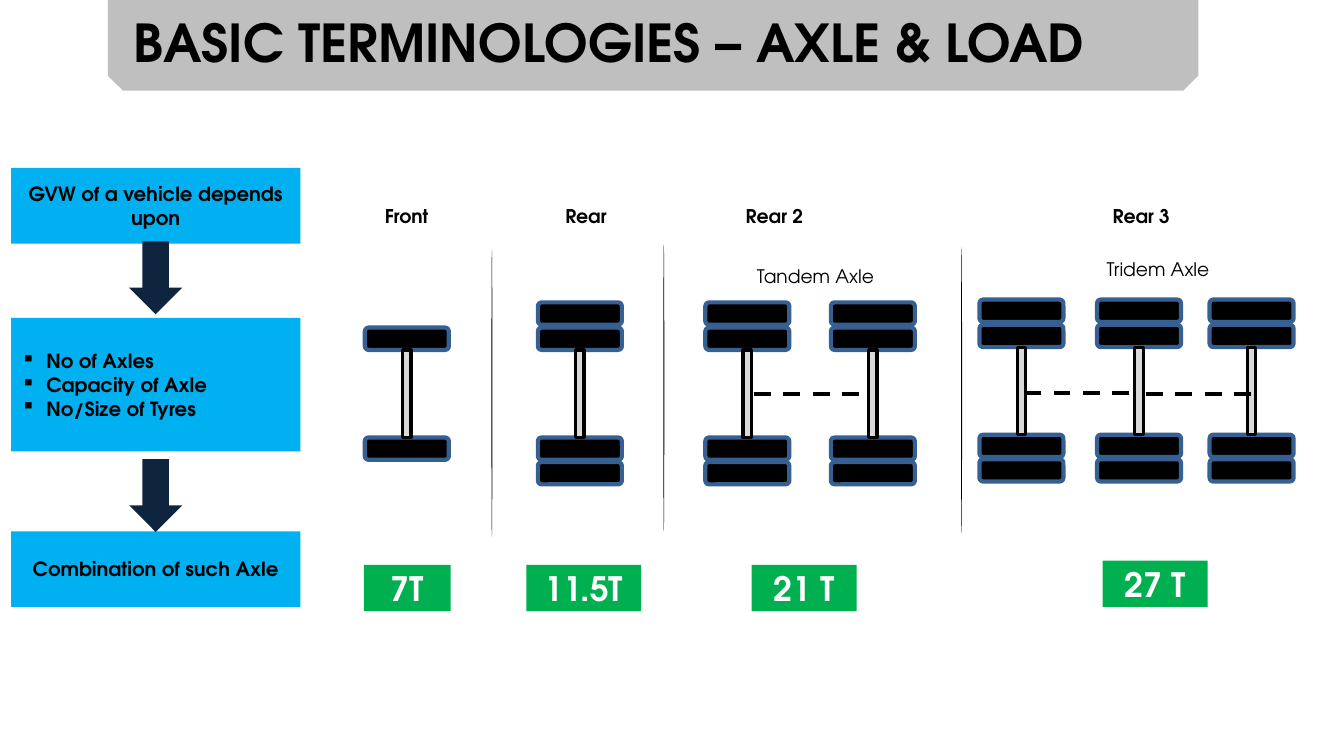
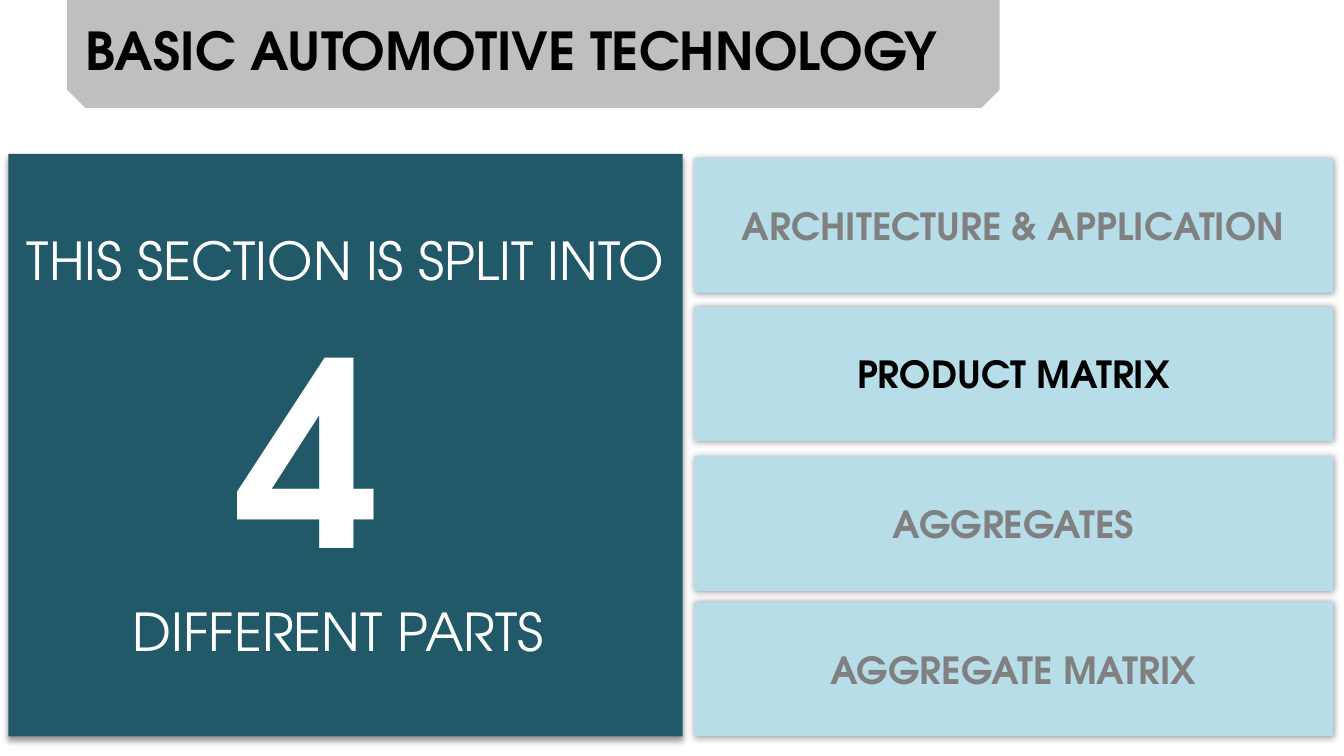
from dataclasses import dataclass
from typing import Optional

import pptx
import pptx.dml.color
import pptx.enum.dml
import pptx.enum.shapes
import pptx.enum.text
import pptx.oxml
import pptx.oxml.ns
import pptx.util
from lxml import etree

Pt = pptx.util.Pt
SHAPE = pptx.enum.shapes.MSO_SHAPE
ALIGN = pptx.enum.text.PP_ALIGN
ANCHOR = pptx.enum.text.MSO_ANCHOR
qn = pptx.oxml.ns.qn

FONT = "TeX Gyre Adventor"
COLORS = {
    "black": "000000", "white": "FFFFFF", "band": "BFBFBF",
    "step": "00B0F0", "arrow": "0F243E", "tyre_edge": "376092",
    "beam": "D9D9D9", "load": "00B050", "panel": "215968",
    "part": "B7DEE8", "muted": "808080",
}


# Records for repeated elements
@dataclass
class Box:
    left: float
    top: float
    width: float
    height: float


@dataclass
class Style:
    size: float
    color: str = "black"
    bold: bool = True


@dataclass
class Shadow:
    blur: float
    distance: float
    degrees: int


@dataclass
class AxleGroup:
    name: str
    name_box: Box
    load: str
    load_box: Box
    top: float
    axles: list[float]
    twin_tyres: bool = True
    note: str = ""
    note_box: Optional[Box] = None


TITLE = Style(37.3)
STEP = Style(14)
AXLE_NAME = Style(13.5)
AXLE_NOTE = Style(13.3, bold=False)
LOAD = Style(24, "white")


# Shared helpers
def rgb(name: str) -> pptx.dml.color.RGBColor:
    return pptx.dml.color.RGBColor.from_string(COLORS[name])


def set_font(font, style: Style) -> None:
    font.name = FONT
    font.size = Pt(style.size)
    font.bold = style.bold
    font.color.rgb = rgb(style.color)


def add_shape(slide, kind, box: Box, fill: str, line: str = "", line_width: float = 0):
    shape = slide.shapes.add_shape(
        kind, Pt(box.left), Pt(box.top), Pt(box.width), Pt(box.height))
    shape.shadow.inherit = False
    shape.fill.solid()
    shape.fill.fore_color.rgb = rgb(fill)
    if line:
        shape.line.color.rgb = rgb(line)
        shape.line.width = Pt(line_width)
    else:
        shape.line.fill.background()
    return shape


def add_label(slide, box: Box, fill: str, text: str, style: Style):
    shape = add_shape(slide, SHAPE.RECTANGLE, box, fill)
    frame = shape.text_frame
    frame.word_wrap = True
    frame.vertical_anchor = ANCHOR.MIDDLE
    paragraph = frame.paragraphs[0]
    paragraph.text = text
    paragraph.alignment = ALIGN.CENTER
    set_font(paragraph.font, style)
    return shape


def add_text(slide, box: Box, text: str, style: Style, wrap: bool = False) -> None:
    shape = slide.shapes.add_textbox(
        Pt(box.left), Pt(box.top), Pt(box.width), Pt(box.height))
    shape.text_frame.word_wrap = wrap
    shape.text_frame.auto_size = pptx.enum.text.MSO_AUTO_SIZE.SHAPE_TO_FIT_TEXT
    paragraph = shape.text_frame.paragraphs[0]
    paragraph.text = text
    set_font(paragraph.font, style)


def add_title(slide, text: str, band: Box, text_box: Box, wrap: bool) -> None:
    shape = add_shape(slide, SHAPE.SNIP_2_SAME_RECTANGLE, band, "band")
    shape.rotation = 180
    add_text(slide, text_box, text, TITLE, wrap)


def add_shadow(shape, shadow: Shadow) -> None:
    effects = shape._element.spPr.find(qn("a:effectLst"))
    outer = etree.SubElement(
        effects, qn("a:outerShdw"), blurRad=str(Pt(shadow.blur)),
        dist=str(Pt(shadow.distance)), dir=str(shadow.degrees * 60000),
        algn="ctr", rotWithShape="0")
    color = etree.SubElement(outer, qn("a:srgbClr"), val=COLORS["black"])
    etree.SubElement(color, qn("a:alpha"), val="40000")


def add_bullet(paragraph) -> None:
    properties = paragraph._p.get_or_add_pPr()
    properties.set("marL", str(Pt(18)))
    properties.set("indent", str(-Pt(18)))
    etree.SubElement(properties, qn("a:buChar"), char="▪")


# Axle drawing
def add_axle(slide, left: float, top: float, twin_tyres: bool) -> None:
    offsets = [18, 96.5] + ([0, 114] if twin_tyres else [])
    for offset in offsets:
        add_shape(slide, SHAPE.ROUNDED_RECTANGLE, Box(left, top + offset, 60, 16),
                  "black", "tyre_edge", 3)
    add_shape(slide, SHAPE.RECTANGLE, Box(left + 27, top + 34, 6, 62.5),
              "beam", "black", 2.25)


def add_dashed_link(slide, start: float, end: float, y: float) -> None:
    connector = slide.shapes.add_connector(
        pptx.enum.shapes.MSO_CONNECTOR.STRAIGHT, Pt(start), Pt(y), Pt(end), Pt(y))
    connector.line.color.rgb = rgb("black")
    connector.line.width = Pt(3)
    connector.line.dash_style = pptx.enum.dml.MSO_LINE.DASH
    etree.SubElement(connector._element.spPr, qn("a:effectLst"))


def add_axle_group(slide, group: AxleGroup) -> None:
    for left in group.axles:
        add_axle(slide, left, group.top, group.twin_tyres)
    add_text(slide, group.name_box, group.name, AXLE_NAME)
    if group.note_box:
        add_text(slide, group.note_box, group.note, AXLE_NOTE)
    add_label(slide, group.load_box, "load", group.load, LOAD)


AXLE_GROUPS = [
    AxleGroup("Front", Box(267.8, 142.5, 47, 24), "7T",
              Box(260, 403.5, 62, 33), 216, [260.6], twin_tyres=False),
    AxleGroup("Rear", Box(396.7, 142.5, 45, 24), "11.5T",
              Box(376, 403.5, 82, 33), 216, [384.2]),
    AxleGroup("Rear 2", Box(525.6, 142.5, 56, 24), "21 T",
              Box(537, 403.5, 75, 33), 216, [503.8, 593.5],
              note="Tandem Axle", note_box=Box(533.5, 186, 100, 24)),
    AxleGroup("Rear 3", Box(787.7, 142.5, 56, 24), "27 T",
              Box(787.7, 400.5, 75, 33), 214, [699.6, 783.6, 864],
              note="Tridem Axle", note_box=Box(783.4, 180.5, 89, 24)),
]


def build_axle_slide(slide) -> None:
    # Step column with arrows
    add_label(slide, Box(8, 120, 206.5, 54), "step",
              "GVW of a vehicle depends upon", STEP)
    factors = add_label(slide, Box(8, 227, 206.5, 95.5), "step",
                        "No of Axles", STEP).text_frame
    for text in ("Capacity of Axle", "No/Size of Tyres"):
        factors.add_paragraph().text = text
    for paragraph in factors.paragraphs:
        paragraph.alignment = ALIGN.LEFT
        add_bullet(paragraph)
        set_font(paragraph.font, STEP)
    add_label(slide, Box(8, 379.5, 206.5, 54), "step", "Combination of such Axle", STEP)
    for top in (172.5, 328):
        add_shape(slide, SHAPE.DOWN_ARROW, Box(92.2, top, 38, 52), "arrow")

    # Axle groups, dividers and links
    for group in AXLE_GROUPS:
        add_axle_group(slide, group)
    for left, top in ((351, 178.5), (473.8, 174.5), (686.5, 176.5)):
        add_shape(slide, SHAPE.OVAL, Box(left, top, 0.7, 205), "black")
    for start, end, y in ((538.5, 620.5, 281.3), (731.5, 813.5, 280.7),
                          (818.5, 893.5, 281.3)):
        add_dashed_link(slide, start, end, y)

    add_title(slide, "BASIC TERMINOLOGIES – AXLE & LOAD",
              Box(77, 0, 779, 64.8), Box(88.5, 3.5, 824, 52.5), wrap=True)


def build_section_slide(slide) -> None:
    add_title(slide, "BASIC AUTOMOTIVE TECHNOLOGY",
              Box(48, 0, 666, 77), Box(54, 9.8, 636, 52.5), wrap=False)

    # Left panel
    plain = Style(37.3, "white", bold=False)
    panel = add_label(slide, Box(6, 110, 481.7, 416), "panel",
                      "THIS SECTION IS SPLIT INTO ", plain)
    add_shadow(panel, Shadow(4, 3, 90))
    number = panel.text_frame.paragraphs[0].add_run()
    number.text = "4 "
    set_font(number.font, Style(184, "white"))
    ending = panel.text_frame.add_paragraph()
    ending.text = "DIFFERENT PARTS "
    ending.alignment = ALIGN.CENTER
    set_font(ending.font, plain)

    # Parts, with the current one in black
    parts = [
        ("ARCHITECTURE & APPLICATION", 113, "muted"),
        ("PRODUCT MATRIX", 219, "black"),
        ("AGGREGATES", 326, "muted"),
        ("AGGREGATE MATRIX", 430, "muted"),
    ]
    for text, top, color in parts:
        part = add_label(slide, Box(496, top, 456, 96), "part", text, Style(26.7, color))
        add_shadow(part, Shadow(5, 0, 0))


def main() -> None:
    presentation = pptx.Presentation()
    presentation.slide_width = Pt(960)
    presentation.slide_height = Pt(540)
    blank = presentation.slide_layouts[6]
    for build in (build_axle_slide, build_section_slide):
        build(presentation.slides.add_slide(blank))
    presentation.save("out.pptx")


if __name__ == "__main__":
    main()
